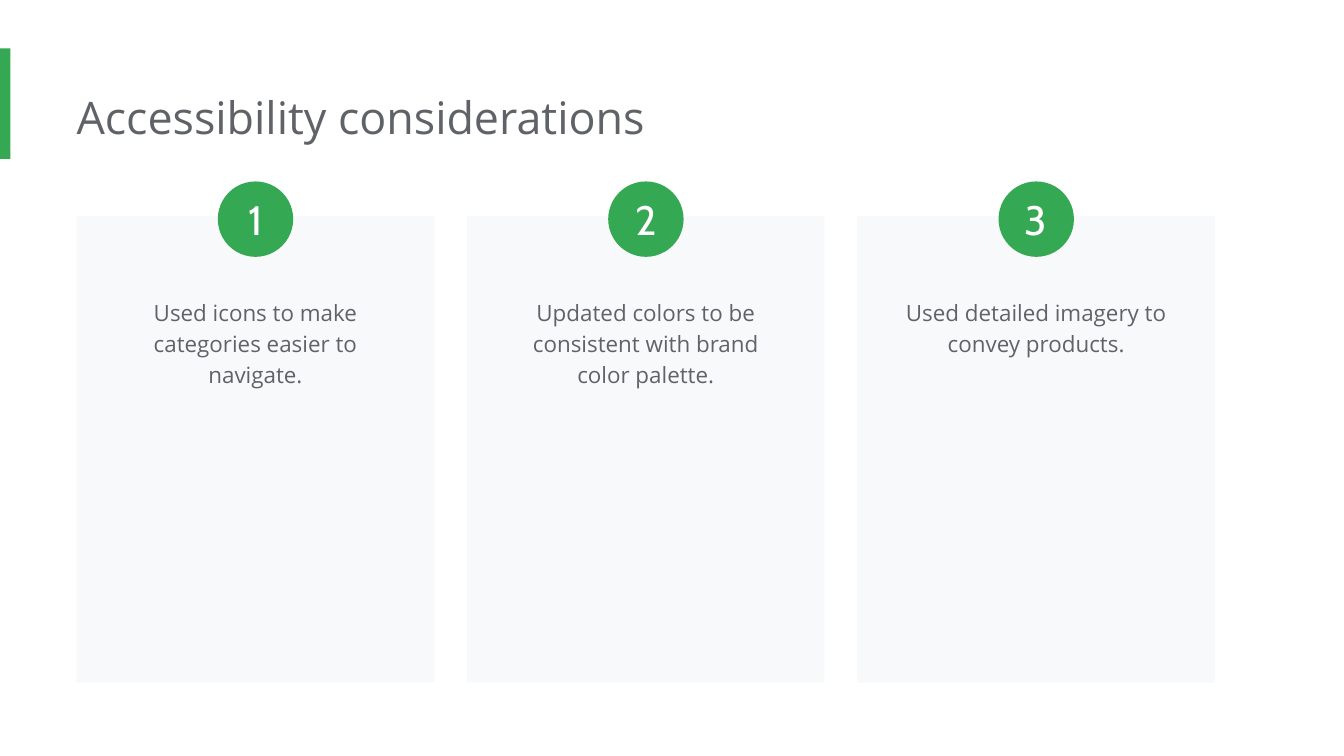
from dataclasses import dataclass

from pptx import Presentation
from pptx.dml.color import RGBColor
from pptx.enum.shapes import MSO_SHAPE
from pptx.enum.text import MSO_ANCHOR, MSO_AUTO_SIZE, PP_ALIGN
from pptx.util import Pt


@dataclass(frozen=True)
class Theme:
    """Colours, fonts and type sizes of the deck."""
    accent: str = "34A853"
    card: str = "F8F9FA"
    text: str = "5F6368"
    light: str = "FFFFFF"
    text_font: str = "Open Sans"
    number_font: str = "Cabin"
    title_size: float = 24
    body_size: float = 12
    number_size: float = 22


@dataclass(frozen=True)
class Box:
    """A rectangle measured in points."""
    left: float
    top: float
    width: float
    height: float

    def lengths(self):
        """Return the four measures as slide lengths."""
        return Pt(self.left), Pt(self.top), Pt(self.width), Pt(self.height)


THEME = Theme()
CONSIDERATIONS = [
    "Used icons to make categories easier to navigate.",
    "Updated colors to be consistent with brand color palette.",
    "Used detailed imagery to convey products.",
]


def add_filled(page, kind, box, color):
    """Add a flat shape without outline or shadow."""
    shape = page.shapes.add_shape(kind, *box.lengths())
    shape.shadow.inherit = False
    shape.fill.solid()
    shape.fill.fore_color.rgb = RGBColor.from_string(color)
    shape.line.fill.background()
    return shape


def set_margins(frame, left, other):
    """Set the left inset and the three other insets."""
    frame.margin_left = Pt(left)
    frame.margin_top = frame.margin_right = frame.margin_bottom = Pt(other)


def write(frame, text, font, size, color, align):
    """Write one formatted run and return its paragraph."""
    para = frame.paragraphs[0]
    para.alignment = align
    span = para.add_run()
    span.text = text
    span.font.name = font
    span.font.size = Pt(size)
    span.font.color.rgb = RGBColor.from_string(color)
    return para


def add_heading(page, box, text):
    """Place the accent bar and the title."""
    bar = Box(box.left, box.top, 5.6, box.height)
    add_filled(page, MSO_SHAPE.RECTANGLE, bar, THEME.accent)
    title = page.shapes.title
    title_box = Box(box.left + 41, box.top + 15, box.width - 41, 44)
    title.left, title.top, title.width, title.height = title_box.lengths()
    frame = title.text_frame
    frame.word_wrap = True
    frame.auto_size = MSO_AUTO_SIZE.NONE
    frame.vertical_anchor = MSO_ANCHOR.TOP
    set_margins(frame, 0, 7.2)
    write(frame, text, THEME.text_font, THEME.title_size, THEME.text, PP_ALIGN.LEFT)


def add_card(page, box, number, text):
    """Place one card with its text and numbered badge."""
    add_filled(page, MSO_SHAPE.RECTANGLE, box, THEME.card)

    inset = 15.2
    text_box = Box(box.left + inset, box.top + 35.3, box.width - 2 * inset, 62.6)
    frame = page.shapes.add_textbox(*text_box.lengths()).text_frame
    frame.word_wrap = True
    set_margins(frame, 7.2, 7.2)
    para = write(frame, text, THEME.text_font, THEME.body_size, THEME.text, PP_ALIGN.CENTER)
    para.line_spacing = 1.15

    size = 40.4
    badge_box = Box(box.left + (box.width - size) / 2, box.top - 18.6, size, size)
    badge = add_filled(page, MSO_SHAPE.OVAL, badge_box, THEME.accent)
    frame = badge.text_frame
    frame.vertical_anchor = MSO_ANCHOR.MIDDLE
    set_margins(frame, 0, 0)
    write(frame, str(number), THEME.number_font, THEME.number_size, THEME.light, PP_ALIGN.CENTER)


def add_cards(page, box, texts, gap):
    """Place equal cards side by side."""
    width = (box.width - gap * (len(texts) - 1)) / len(texts)
    for index, text in enumerate(texts):
        left = box.left + index * (width + gap)
        add_card(page, Box(left, box.top, width, box.height), index + 1, text)


def main():
    """Build and save the deck."""
    deck = Presentation()
    deck.slide_width, deck.slide_height = Pt(720), Pt(405)
    page = deck.slides.add_slide(deck.slide_layouts[5])
    add_heading(page, Box(0, 26, 592.5, 59.2), "Accessibility considerations")
    add_cards(page, Box(41, 115.8, 610, 250), CONSIDERATIONS, 17.4)
    deck.save("out.pptx")


if __name__ == "__main__":
    main()
